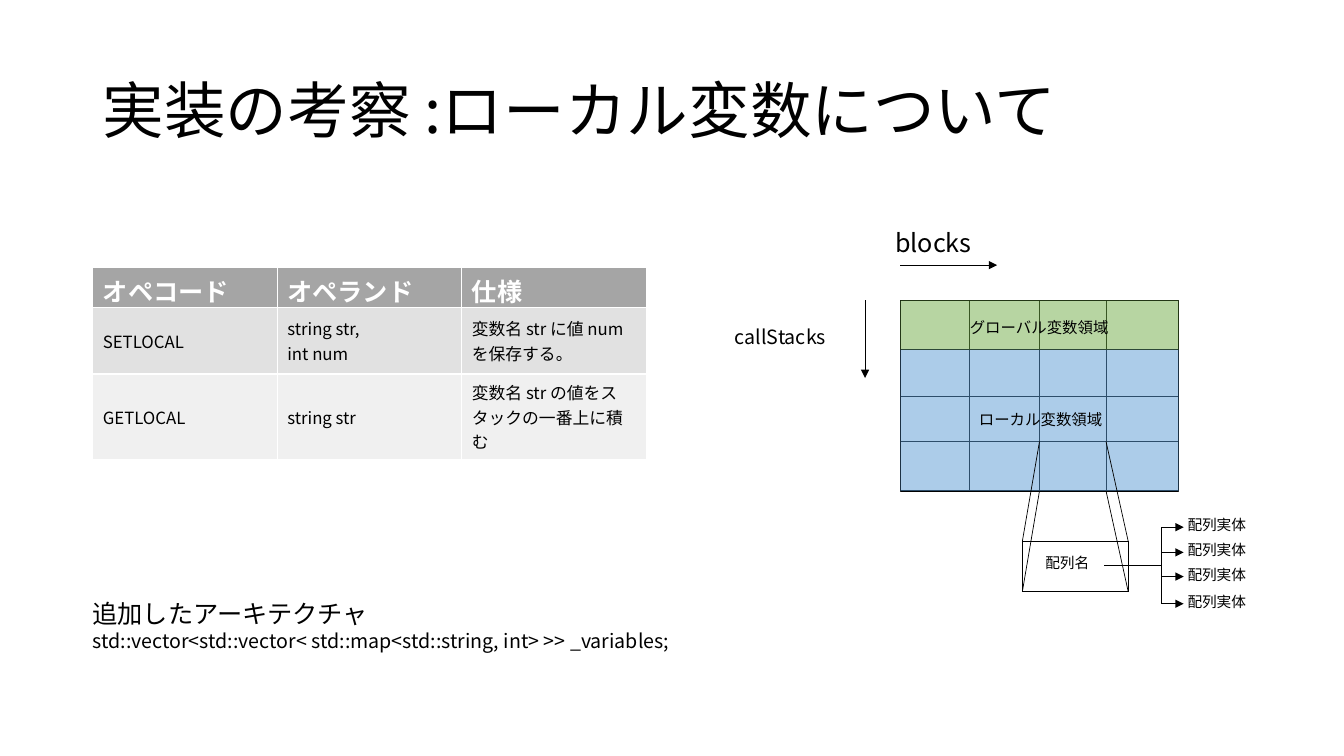
from dataclasses import dataclass

from lxml.etree import SubElement
from pptx import Presentation
from pptx.dml.color import RGBColor
from pptx.enum.shapes import MSO_CONNECTOR, MSO_SHAPE
from pptx.enum.text import MSO_ANCHOR, MSO_AUTO_SIZE
from pptx.oxml.ns import qn
from pptx.util import Inches, Pt


@dataclass(frozen=True)
class Theme:
    font: str = "Noto Sans CJK JP"
    black: RGBColor = RGBColor(0, 0, 0)
    white: RGBColor = RGBColor(255, 255, 255)
    header: RGBColor = RGBColor.from_string("A5A5A5")
    bands: tuple = (RGBColor.from_string("E1E1E1"), RGBColor.from_string("F0F0F0"))
    global_area: RGBColor = RGBColor.from_string("70AD47")
    local_area: RGBColor = RGBColor.from_string("5B9BD5")
    title: float = 44
    large: float = 18
    medium: float = 14
    cell: float = 12
    area: float = 11
    small: float = 10.5


theme = Theme()


def write(frame, lines, sizes, color=theme.black, bold=False):
    """Fill a text frame with one paragraph for each line."""
    frame.text = "\n".join(lines)
    for paragraph, size in zip(frame.paragraphs, sizes):
        font = paragraph.font
        font.name, font.size, font.bold = theme.font, Pt(size), bold
        font.color.rgb = color
        properties = paragraph._p.pPr.find(qn("a:defRPr"))
        SubElement(properties, qn("a:ea"), typeface=theme.font)


def draw_line(x1, y1, x2, y2, arrow=False):
    """Draw a thin black line, with an arrowhead at its end if wanted."""
    line = slide.shapes.add_connector(
        MSO_CONNECTOR.STRAIGHT, Inches(x1), Inches(y1), Inches(x2), Inches(y2))
    line.line.color.rgb = theme.black
    line.line.width = Pt(0.5)
    if arrow:
        SubElement(line.line._get_or_add_ln(), qn("a:tailEnd"), type="triangle")
    SubElement(line._element.spPr, qn("a:effectLst"))


presentation = Presentation()
presentation.slide_width, presentation.slide_height = Inches(13.33), Inches(7.5)
slide = presentation.slides.add_slide(presentation.slide_layouts[6])

# Title
title = slide.shapes.add_textbox(Inches(0.92), Inches(0.4), Inches(11.5), Inches(1.45))
title.text_frame.word_wrap = True
title.text_frame.vertical_anchor = MSO_ANCHOR.MIDDLE
write(title.text_frame, ["実装の考察 :ローカル変数について"], [theme.title])
title.text_frame.paragraphs[0].line_spacing = 0.9

# Opcode table
rows = [
    ("オペコード", "オペランド", "仕様"),
    ("SETLOCAL", "string str,\nint num", "変数名 str に値 num を保存する。"),
    ("GETLOCAL", "string str", "変数名 str の値をスタックの一番上に積む"),
]
row_heights = [0.38, 0.66, 0.85]
table = slide.shapes.add_table(
    3, 3, Inches(0.92), Inches(2.65), Inches(5.49), Inches(sum(row_heights))).table
for column in table.columns:
    column.width = Inches(1.83)
for row_index, (texts, height) in enumerate(zip(rows, row_heights)):
    table.rows[row_index].height = Inches(height)
    is_header = row_index == 0
    for column_index, text in enumerate(texts):
        cell = table.cell(row_index, column_index)
        cell.vertical_anchor = MSO_ANCHOR.MIDDLE
        cell.fill.solid()
        cell.fill.fore_color.rgb = theme.header if is_header else theme.bands[row_index - 1]
        lines = text.split("\n")
        size = theme.large if is_header else theme.cell
        color = theme.white if is_header else theme.black
        write(cell.text_frame, lines, [size] * len(lines), color, is_header)

# Variable grid: frame, cell lines, then translucent areas
left, top, right, bottom = 8.93, 2.98, 11.69, 4.87
global_bottom = 3.47
column_lines = [9.61, 10.31, 10.97]
row_lines = [global_bottom, 3.93, 4.38]
areas = [
    (top, bottom, theme.white, None),
    (top, global_bottom, theme.global_area, 50),
    (global_bottom, bottom, theme.local_area, 50),
]
for area_top, area_bottom, color, opacity in areas:
    area = slide.shapes.add_shape(
        MSO_SHAPE.RECTANGLE, Inches(left), Inches(area_top),
        Inches(right - left), Inches(area_bottom - area_top))
    area.shadow.inherit = False
    area.fill.solid()
    area.fill.fore_color.rgb = color
    if opacity:
        area.line.fill.background()
        fill_color = area._element.spPr.find(qn("a:solidFill"))[0]
        SubElement(fill_color, qn("a:alpha"), val=str(opacity * 1000))
    else:
        area.line.color.rgb = theme.black
        area.line.width = Pt(1)
        for x in column_lines:
            draw_line(x, bottom, x, top)
        for y in row_lines:
            draw_line(right, y, left, y)

# Axis arrows
draw_line(left, 2.63, 9.89, 2.63, arrow=True)
draw_line(8.58, top, 8.58, 3.75, arrow=True)

# Enlarged cell: projection lines and box
cell_left, cell_right, cell_top = 10.31, 10.97, 4.38
box_left, box_right, box_top, box_bottom = 10.14, 11.19, 5.37, 5.87
for cell_y, box_y in ((cell_top, box_top), (bottom, box_bottom)):
    draw_line(cell_left, cell_y, box_left, box_y)
    draw_line(cell_right, cell_y, box_right, box_y)
    draw_line(box_left, box_y, box_right, box_y)
for x in (box_left, box_right):
    draw_line(x, box_top, x, box_bottom)

# Branches from the array name to its bodies
trunk = 11.52
branches = [5.23, 5.48, 5.72, 5.99]
draw_line(10.95, 5.61, trunk, 5.61)
draw_line(trunk, branches[0], trunk, branches[-1])
for y in branches:
    draw_line(trunk, y, 11.74, y, arrow=True)

# Labels
labels = [
    (8.78, 2.21, 1.16, 0.48, ["blocks"], [theme.large]),
    (7.19, 3.17, 1.4, 0.4, ["callStacks"], [theme.medium]),
    (9.52, 3.11, 1.94, 0.34, ["グローバル変数領域"], [theme.area]),
    (9.61, 4.02, 1.75, 0.34, ["ローカル変数領域"], [theme.area]),
    (10.27, 5.45, 0.78, 0.33, ["配列名"], [theme.small]),
    (0.82, 5.89, 6.3, 0.64,
     ["追加したアーキテクチャ",
      "std::vector<std::vector< std::map<std::string, int> >> _variables;"],
     [theme.large, theme.medium]),
]
labels += [(11.68, y - 0.16, 1, 0.34, ["配列実体"], [theme.small]) for y in branches]
for x, y, width, height, lines, sizes in labels:
    label = slide.shapes.add_textbox(Inches(x), Inches(y), Inches(width), Inches(height))
    label.text_frame.word_wrap = False
    label.text_frame.auto_size = MSO_AUTO_SIZE.SHAPE_TO_FIT_TEXT
    write(label.text_frame, lines, sizes)

presentation.save("out.pptx")
